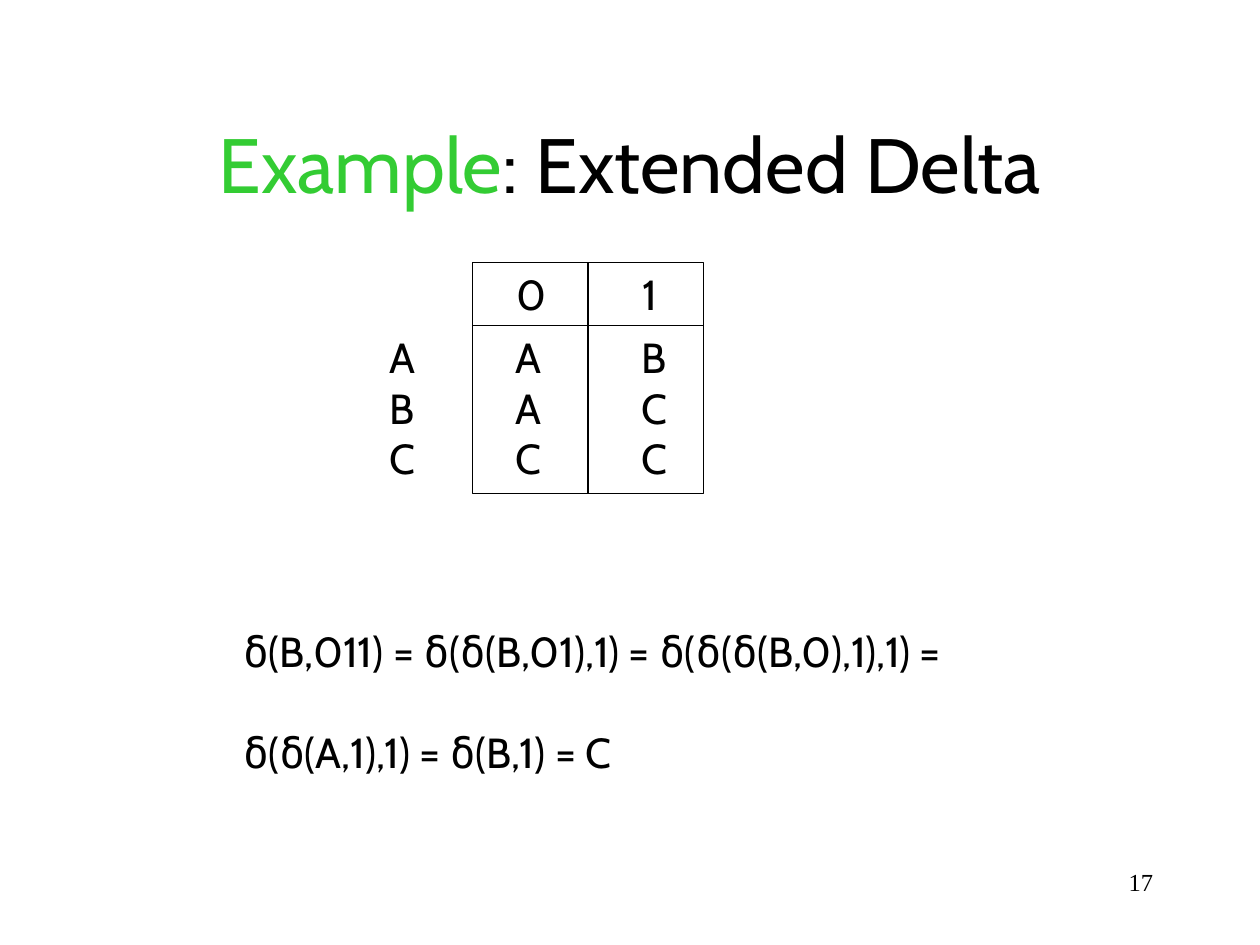
from itertools import groupby

from lxml.etree import SubElement
from pptx import Presentation
from pptx.dml.color import RGBColor
from pptx.enum.shapes import MSO_CONNECTOR, MSO_SHAPE
from pptx.enum.text import MSO_ANCHOR, PP_ALIGN
from pptx.oxml.ns import qn
from pptx.util import Pt

COLORS = {"ink": "000000", "accent": "33CC33"}
FONTS = {"body": "Cabin", "greek": "DejaVu Sans Mono", "number": "Times New Roman"}
TAB_STEP = 72


class Deck:
    """Hold the style and the current slide, and draw its elements."""

    def __init__(self, width, height):
        self.presentation = Presentation()
        self.presentation.slide_width = Pt(width)
        self.presentation.slide_height = Pt(height)
        self.slide = self.presentation.slides.add_slide(self.presentation.slide_layouts[6])

    def text(self, box, lines, size=24, font="body", align=PP_ALIGN.LEFT,
             anchor=MSO_ANCHOR.TOP, gap=0):
        """Write lines, each a list of (words, font, colour) or a plain string."""
        frame = self.slide.shapes.add_textbox(*map(Pt, box)).text_frame
        frame.word_wrap = True
        frame.vertical_anchor = anchor
        for index, line in enumerate(lines):
            paragraph = frame.add_paragraph() if index else frame.paragraphs[0]
            paragraph.alignment = align
            pieces = [(line, font, "ink")] if isinstance(line, str) else line
            if any("\t" in words for words, *_ in pieces):
                self.tabs(paragraph)
            if index:
                paragraph.space_before = Pt(gap)
            for words, face, color in pieces:
                run = paragraph.add_run()
                run.text = words
                run.font.name = FONTS[face]
                run.font.size = Pt(size)
                run.font.color.rgb = RGBColor.from_string(COLORS[color])

    def tabs(self, paragraph):
        """Set left tab stops at equal steps."""
        stops = SubElement(paragraph._p.get_or_add_pPr(), qn("a:tabLst"))
        for step in range(1, 8):
            SubElement(stops, qn("a:tab"), pos=str(Pt(TAB_STEP * step)), algn="l")

    def frame(self, box):
        """Draw an unfilled rectangle."""
        outline = self.slide.shapes.add_shape(MSO_SHAPE.RECTANGLE, *map(Pt, box))
        outline.shadow.inherit = False
        outline.fill.background()
        self.stroke(outline.line)
        return outline

    def rule(self, *ends):
        """Draw a straight line."""
        connector = self.slide.shapes.add_connector(MSO_CONNECTOR.STRAIGHT, *map(Pt, ends))
        self.stroke(connector.line)
        SubElement(connector._element.spPr, qn("a:effectLst"))
        return connector

    def stroke(self, line):
        """Apply the common line style."""
        line.color.rgb = RGBColor.from_string(COLORS["ink"])
        line.width = Pt(0.75)


def formula(expression):
    """Split an expression into Greek and Latin pieces."""
    return [("".join(letters), "greek" if greek else "body", "ink")
            for greek, letters in groupby(expression, lambda letter: letter == "δ")]


def main():
    """Build the slide."""
    deck = Deck(720, 540)
    deck.text((516, 492, 150, 36), ["17"], size=14, font="number", align=PP_ALIGN.RIGHT)
    deck.text((54, 48, 612, 90),
              [[("Example", "body", "accent"), (": Extended Delta", "body", "ink")]],
              size=44, align=PP_ALIGN.CENTER, anchor=MSO_ANCHOR.MIDDLE)

    left, top, side, header = 270, 150, 132, 36
    middle = left + side / 2
    table_frame = deck.frame((left, top, side, side))
    deck.rule(left, top + header, left + side, top + header)
    divider = deck.rule(middle, top, middle, top + side)
    divider.begin_connect(table_frame, 0)
    divider.end_connect(table_frame, 2)

    for column, symbol in enumerate("01"):
        deck.text((288 + TAB_STEP * column, top, 28, header), [symbol])
    deck.text((215.5, top + header, 180, 94), ["\t".join(row) for row in ("AAB", "BAC", "CCC")])

    derivation = ["δ(B,011) = δ(δ(B,01),1) = δ(δ(δ(B,0),1),1) =", "δ(δ(A,1),1) = δ(B,1) = C"]
    deck.text((132, 354, 469, 94), [formula(step) for step in derivation], gap=29)
    deck.presentation.save("out.pptx")


if __name__ == "__main__":
    main()
